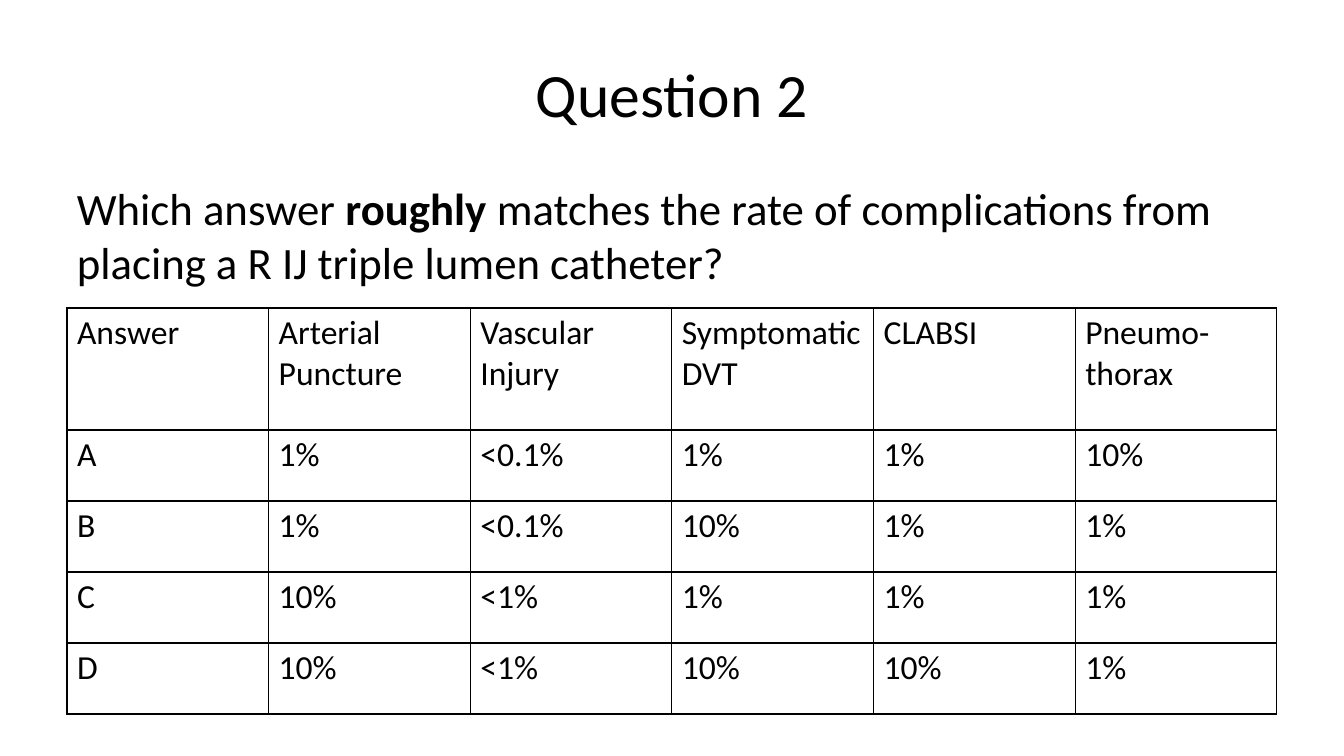
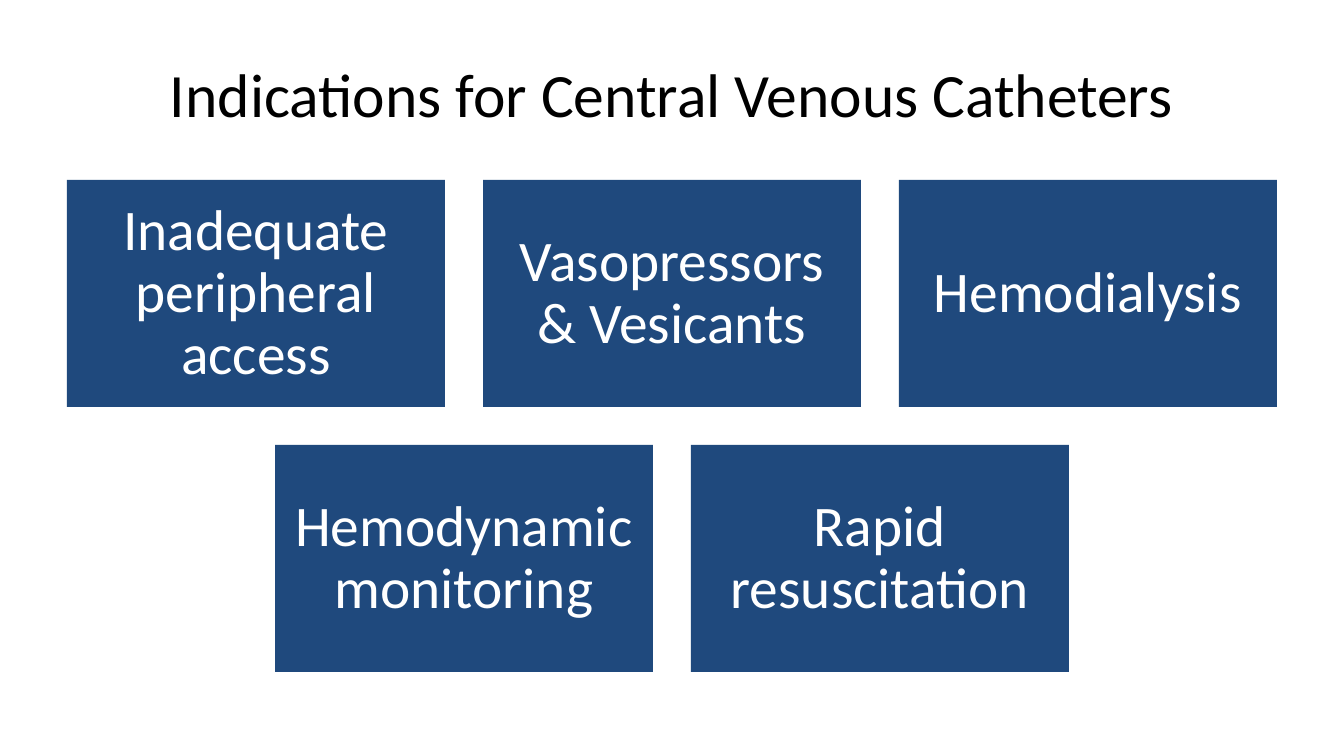
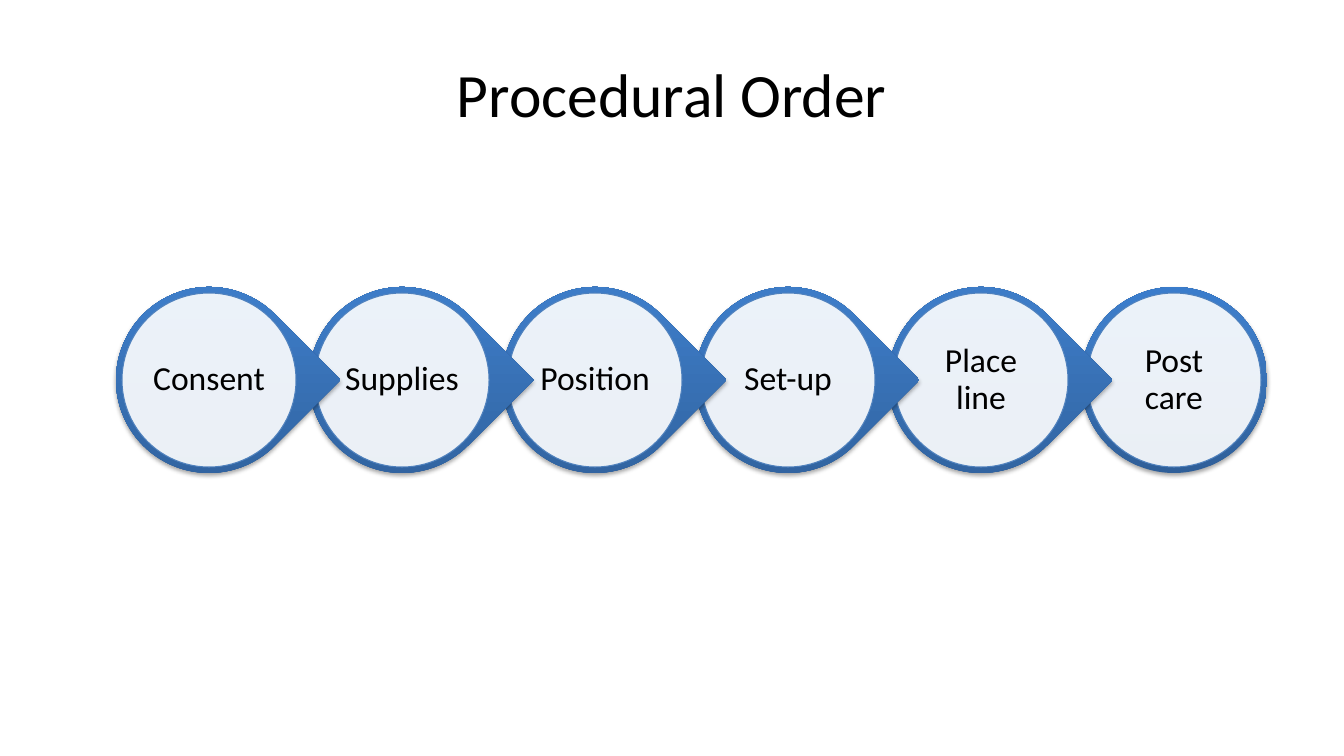
from lxml.etree import SubElement
from pptx import Presentation
from pptx.dml.color import RGBColor
from pptx.enum.shapes import MSO_SHAPE
from pptx.enum.text import MSO_ANCHOR, PP_ALIGN
from pptx.oxml.ns import qn
from pptx.util import Pt

SLIDE_W, SLIDE_H = 1344, 756
SCALE = 12192000 / SLIDE_W
FONT = "Calibri"
BLACK, WHITE, NAVY, BLUE = "000000", "FFFFFF", "1F497D", "4F81BD"
RING_STOPS = [(0, "2F5F99"), (80, "3D7CC7"), (100, "3A7CCB")]
TITLE_BOX = (67, 30, 1210, 126)
QUESTION_BOX = (67, 176, 1210, 126)
ANSWERS_BOX = (67, 308, 1210, 406)
TILES_BOX = (67, 180, 1210, 492)
STEPS_BOX = (116, 287, 1151, 186)

QUESTION = [
    ("Which answer", False),
    (" roughly ", True),
    ("matches the rate of complications from placing a R IJ triple lumen catheter?", False),
]
ANSWERS = [
    ["Answer", "Arterial Puncture", "Vascular Injury", "Symptomatic DVT", "CLABSI", "Pneumo-thorax"],
    ["A", "1%", "<0.1%", "1%", "1%", "10%"],
    ["B", "1%", "<0.1%", "10%", "1%", "1%"],
    ["C", "10%", "<1%", "1%", "1%", "1%"],
    ["D", "10%", "<1%", "10%", "10%", "1%"],
]
INDICATIONS = [
    ["Inadequate peripheral access", "Vasopressors & Vesicants", "Hemodialysis"],
    ["Hemodynamic monitoring", "Rapid resuscitation"],
]
STEPS = ["Consent", "Supplies", "Position", "Set-up", "Place line", "Post care"]


def px(length):
    return round(length * SCALE)


def emu(box):
    return [px(length) for length in box]


def rgb(color):
    return RGBColor.from_string(color)


def write(frame, runs, size, color=BLACK, align=PP_ALIGN.LEFT, spacing=None):
    paragraph = frame.paragraphs[0]
    paragraph.alignment = align
    if spacing:
        paragraph.line_spacing = spacing
    for text, bold in runs:
        run = paragraph.add_run()
        run.text = text
        run.font.name = FONT
        run.font.size = Pt(size)
        run.font.bold = bold
        run.font.color.rgb = rgb(color)


def add_text(slide, box, runs, size, align=PP_ALIGN.LEFT, anchor=MSO_ANCHOR.TOP):
    frame = slide.shapes.add_textbox(*emu(box)).text_frame
    frame.word_wrap = True
    frame.vertical_anchor = anchor
    write(frame, runs, size, align=align)


def add_figure(slide, kind, box, fill):
    figure = slide.shapes.add_shape(kind, *emu(box))
    figure.shadow.inherit = False
    figure.fill.solid()
    figure.fill.fore_color.rgb = rgb(fill)
    figure.line.fill.background()
    return figure


def label(figure, text, size, color, inset):
    frame = figure.text_frame
    frame.word_wrap = True
    frame.vertical_anchor = MSO_ANCHOR.MIDDLE
    frame.margin_left = frame.margin_right = px(inset)
    frame.margin_top = frame.margin_bottom = px(inset)
    write(frame, [(text, False)], size, color, PP_ALIGN.CENTER, 0.9)


def add_color(parent, color, alpha=None):
    node = SubElement(parent, qn("a:srgbClr"), val=color)
    if alpha:
        SubElement(node, qn("a:alpha"), val=str(alpha * 1000))


def add_borders(cell):
    properties = cell._tc.get_or_add_tcPr()
    for side in ("L", "R", "T", "B"):
        border = SubElement(properties, qn(f"a:ln{side}"), w=str(Pt(1)))
        add_color(SubElement(border, qn("a:solidFill")), BLACK)


def shade_ring(ring):
    properties = ring._element.spPr
    gradient = SubElement(properties, qn("a:gradFill"), rotWithShape="0")
    stops = SubElement(gradient, qn("a:gsLst"))
    for position, color in RING_STOPS:
        add_color(SubElement(stops, qn("a:gs"), pos=str(position * 1000)), color)
    SubElement(gradient, qn("a:lin"), ang=str(270 * 60000), scaled="0")
    properties.replace(properties.find(qn("a:solidFill")), gradient)
    shadow = SubElement(properties.find(qn("a:effectLst")), qn("a:outerShdw"),
                        blurRad=str(Pt(3.1)), dist=str(Pt(1.8)),
                        dir=str(90 * 60000), rotWithShape="0")
    add_color(shadow, BLACK, 35)


def add_answers(slide, box):
    height = box[3]
    row_height = 71
    header_height = height - row_height * (len(ANSWERS) - 1)
    table = slide.shapes.add_table(len(ANSWERS), len(ANSWERS[0]), *emu(box)).table
    table.first_row = table.horz_banding = False
    for column in table.columns:
        column.width = px(box[2] / len(ANSWERS[0]))
    for r, answers in enumerate(ANSWERS):
        table.rows[r].height = px(row_height if r else header_height)
        for c, answer in enumerate(answers):
            cell = table.cell(r, c)
            add_borders(cell)
            cell.fill.background()
            write(cell.text_frame, [(answer, False)], 24)


def add_tiles(slide, box):
    left, top, width, height = box
    gap = 38
    tile_w = (width - 2 * gap) // 3
    tile_h = (height - gap) // 2
    for r, indications in enumerate(INDICATIONS):
        count = len(indications)
        start = left + (width - count * tile_w - (count - 1) * gap) // 2
        for c, indication in enumerate(indications):
            tile_box = (start + c * (tile_w + gap), top + r * (tile_h + gap), tile_w, tile_h)
            tile = add_figure(slide, MSO_SHAPE.RECTANGLE, tile_box, NAVY)
            label(tile, indication, 41, WHITE, 17)


def add_steps(slide, box):
    left, top, width, size = box
    rim = 6
    last = len(STEPS) - 1
    pitch = (width - size) // last
    for i, step in reversed(list(enumerate(STEPS))):
        x = left + i * pitch
        kind = MSO_SHAPE.OVAL if i == last else MSO_SHAPE.TEAR
        ring = add_figure(slide, kind, (x, top, size, size), BLUE)
        ring.rotation = 0 if i == last else 45
        shade_ring(ring)
        disc_size = size - 2 * rim
        disc = add_figure(slide, MSO_SHAPE.OVAL, (x + rim, top + rim, disc_size, disc_size), WHITE)
        fill_color = disc._element.spPr.find(qn("a:solidFill"))[0]
        SubElement(fill_color, qn("a:alpha"), val="90000")
        disc.line.color.rgb = rgb(BLUE)
        disc.line.width = Pt(0.75)
        label(disc, step, 24, BLACK, 3)


def new_slide(deck, title):
    slide = deck.slides.add_slide(deck.slide_layouts[6])
    add_text(slide, TITLE_BOX, [(title, False)], 44, PP_ALIGN.CENTER, MSO_ANCHOR.MIDDLE)
    return slide


def question_slide(deck):
    slide = new_slide(deck, "Question 2")
    add_text(slide, QUESTION_BOX, QUESTION, 32)
    add_answers(slide, ANSWERS_BOX)


def indications_slide(deck):
    add_tiles(new_slide(deck, "Indications for Central Venous Catheters"), TILES_BOX)


def order_slide(deck):
    add_steps(new_slide(deck, "Procedural Order"), STEPS_BOX)


def main():
    deck = Presentation()
    deck.slide_width, deck.slide_height = px(SLIDE_W), px(SLIDE_H)
    question_slide(deck)
    indications_slide(deck)
    order_slide(deck)
    deck.save("out.pptx")


if __name__ == "__main__":
    main()
